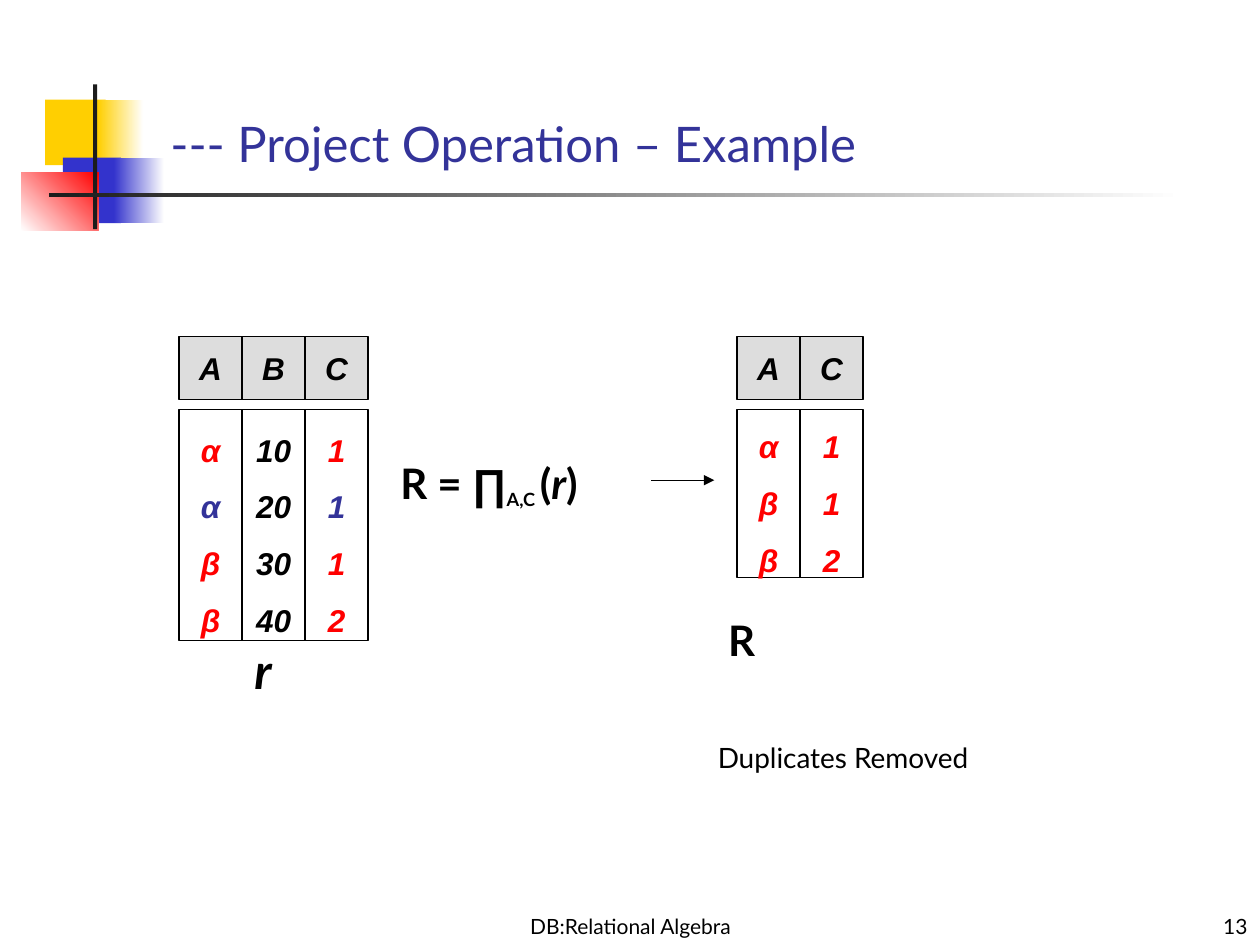
from dataclasses import dataclass
from typing import Optional

import lxml.etree
import pptx
import pptx.dml.color
import pptx.enum.dml
import pptx.enum.shapes
import pptx.enum.text
import pptx.oxml.ns
import pptx.util

Cm = pptx.util.Cm
Align = pptx.enum.text.PP_ALIGN
Anchor = pptx.enum.text.MSO_ANCHOR
AutoSize = pptx.enum.text.MSO_AUTO_SIZE


@dataclass(frozen=True)
class Theme:
    text_font: str = "Lato"
    table_font: str = "Arial"
    black: str = "000000"
    white: str = "FFFFFF"
    red: str = "FF0000"
    navy: str = "333399"
    header: str = "DDDDDD"
    yellow: str = "FFCF01"
    blue: str = "3333CC"
    charcoal: str = "1C1C1C"
    title_size: int = 28
    formula_size: int = 24
    table_size: int = 18
    note_size: int = 16
    footer_size: int = 12
    line_width: float = 0.75


THEME = Theme()


@dataclass(frozen=True)
class Box:
    left: float
    top: float
    width: float
    height: float

    def lengths(self) -> list:
        return [Cm(n) for n in (self.left, self.top, self.width, self.height)]


@dataclass(frozen=True)
class Ornament:
    box: Box
    colour: str
    fade_to: Optional[str] = None
    angle: int = 0


@dataclass(frozen=True)
class Run:
    text: str
    size: int
    colour: str = THEME.black
    bold: bool = False
    italic: bool = False
    font: str = THEME.text_font
    baseline: int = 0


@dataclass(frozen=True)
class Column:
    heading: str
    values: list
    colours: list


@dataclass(frozen=True)
class Label:
    box: Box
    runs: list
    align: Align = Align.LEFT
    anchor: Anchor = Anchor.TOP
    wrap: bool = True
    grow: bool = False


def rgb(colour: str) -> pptx.dml.color.RGBColor:
    return pptx.dml.color.RGBColor.from_string(colour)


def add_runs(paragraph, runs: list) -> None:
    for item in runs:
        run = paragraph.add_run()
        run.text = item.text
        run.font.name = item.font
        run.font.size = pptx.util.Pt(item.size)
        run.font.bold, run.font.italic = item.bold, item.italic
        run.font.color.rgb = rgb(item.colour)
        if item.baseline:
            run._r.get_or_add_rPr().set("baseline", str(item.baseline * 1000))


def add_rectangle(slide, box: Box, fill: str):
    shape = slide.shapes.add_shape(pptx.enum.shapes.MSO_SHAPE.RECTANGLE, *box.lengths())
    shape.shadow.inherit = False
    shape.fill.solid()
    shape.fill.fore_color.rgb = rgb(fill)
    return shape


def add_ornament(slide, ornament: Ornament) -> None:
    shape = add_rectangle(slide, ornament.box, ornament.colour)
    shape.line.fill.background()
    if ornament.fade_to:
        shape.fill.gradient()
        shape.fill.gradient_angle = ornament.angle
        stops = shape.fill.gradient_stops
        for stop, position, colour in zip(stops, (0, 1), (ornament.colour, ornament.fade_to)):
            stop.position = position
            stop.color.rgb = rgb(colour)


def add_cell(slide, box: Box, fill: str, values: list, colours: list, spacing: float) -> None:
    shape = add_rectangle(slide, box, fill)
    shape.line.color.rgb = rgb(THEME.black)
    shape.line.width = pptx.util.Pt(THEME.line_width)
    frame = shape.text_frame
    frame.word_wrap = False
    frame.vertical_anchor = Anchor.MIDDLE
    for index, (value, colour) in enumerate(zip(values, colours)):
        paragraph = frame.add_paragraph() if index else frame.paragraphs[0]
        paragraph.alignment = Align.CENTER
        paragraph.line_spacing = spacing
        add_runs(paragraph, [Run(value, THEME.table_size, colour, True, True, THEME.table_font)])


def add_relation(slide, left: float, body_height: float, columns: list) -> None:
    side, header_top, body_top = 1.27, 6.78, 8.26
    for index, column in enumerate(columns):
        x = left + index * side
        add_cell(slide, Box(x, header_top, side, side), THEME.header,
                 [column.heading], [THEME.black], 1.0)
        add_cell(slide, Box(x, body_top, side, body_height), THEME.white,
                 column.values, column.colours, 1.5)


def add_label(slide, label: Label) -> None:
    frame = slide.shapes.add_textbox(*label.box.lengths()).text_frame
    frame.word_wrap = label.wrap
    frame.auto_size = AutoSize.SHAPE_TO_FIT_TEXT if label.grow else AutoSize.NONE
    frame.vertical_anchor = label.anchor
    frame.paragraphs[0].alignment = label.align
    add_runs(frame.paragraphs[0], label.runs)


def add_arrow(slide, start: float, end: float, y: float) -> None:
    arrow = slide.shapes.add_connector(
        pptx.enum.shapes.MSO_CONNECTOR.STRAIGHT, Cm(start), Cm(y), Cm(end), Cm(y))
    arrow.line.color.rgb = rgb(THEME.black)
    arrow.line.width = pptx.util.Pt(THEME.line_width)
    qn = pptx.oxml.ns.qn
    lxml.etree.SubElement(arrow.line._get_or_add_ln(), qn("a:tailEnd"), type="triangle")
    lxml.etree.SubElement(arrow._element.spPr, qn("a:effectLst"))


def set_title(slide, box: Box, text: str) -> None:
    title = slide.shapes.title
    title.left, title.top, title.width, title.height = box.lengths()
    frame = title.text_frame
    frame.auto_size = AutoSize.NONE
    frame.vertical_anchor = Anchor.BOTTOM
    frame.paragraphs[0].alignment = Align.LEFT
    add_runs(frame.paragraphs[0], [Run(text, THEME.title_size, THEME.navy)])


ORNAMENTS = [
    Ornament(Box(0.91, 2.01, 1.22, 1.32), THEME.yellow),
    Ornament(Box(1.98, 2.01, 0.91, 1.32), THEME.yellow, THEME.white),
    Ornament(Box(1.27, 3.18, 1.17, 1.32), THEME.blue),
    Ornament(Box(2.29, 3.18, 1.02, 1.32), THEME.blue, THEME.white),
    Ornament(Box(0.43, 3.48, 1.55, 1.17), THEME.white, THEME.red, 45),
    Ornament(Box(1.88, 1.7, 0.08, 2.92), THEME.charcoal),
    Ornament(Box(0.99, 3.89, 22.86, 0.08), THEME.charcoal, THEME.white),
]

# Navy marks the row that repeats an earlier one
KEPT = [THEME.red] * 3
MARKED = [THEME.red, THEME.navy, THEME.red, THEME.red]
SOURCE = [
    Column("A", ["α", "α", "β", "β"], MARKED),
    Column("B", ["10", "20", "30", "40"], [THEME.black] * 4),
    Column("C", ["1", "1", "1", "2"], MARKED),
]
RESULT = [Column("A", ["α", "β", "β"], KEPT), Column("C", ["1", "1", "2"], KEPT)]

SIZE = THEME.formula_size
FORMULA = [
    Run("R = ", SIZE, bold=True),
    Run("∏", SIZE, bold=True, font=THEME.table_font),
    Run("A,C ", THEME.table_size, bold=True, baseline=-25),
    Run("(", SIZE, bold=True),
    Run("r", SIZE, bold=True, italic=True),
    Run(")", SIZE, bold=True),
]
LABELS = [
    Label(Box(8.69, 17.98, 8.05, 1.07), [Run("DB:Relational Algebra", THEME.footer_size)],
          Align.CENTER, Anchor.BOTTOM),
    Label(Box(20.12, 17.98, 5.28, 1.07), [Run("13", THEME.footer_size)],
          Align.RIGHT, Anchor.BOTTOM),
    Label(Box(7.82, 9.09, 5.08, 1.63), FORMULA),
    Label(Box(4.88, 12.78, 0.91, 1.45), [Run("r", THEME.title_size, bold=True, italic=True)],
          wrap=False, grow=True),
    Label(Box(14.22, 14.81, 5.89, 0.94), [Run("Duplicates Removed", THEME.note_size)],
          wrap=False, grow=True),
    Label(Box(14.43, 12.27, 1.09, 1.27), [Run("R", SIZE, bold=True)], grow=True),
]


def main() -> None:
    presentation = pptx.Presentation()
    presentation.slide_width, presentation.slide_height = Cm(25.4), Cm(19.05)
    slide = presentation.slides.add_slide(presentation.slide_layouts.get_by_name("Title Only"))

    # Corner decoration and title
    for ornament in ORNAMENTS:
        add_ornament(slide, ornament)
    set_title(slide, Box(3.18, 1.9, 21.64, 1.7), "--- Project Operation – Example")

    # Relation, projection and result
    add_relation(slide, 3.61, 4.65, SOURCE)
    add_relation(slide, 14.86, 3.38, RESULT)
    add_arrow(slide, 13.13, 14.4, 9.68)

    # Formula, captions and footer
    for label in LABELS:
        add_label(slide, label)
    presentation.save("out.pptx")


if __name__ == "__main__":
    main()
